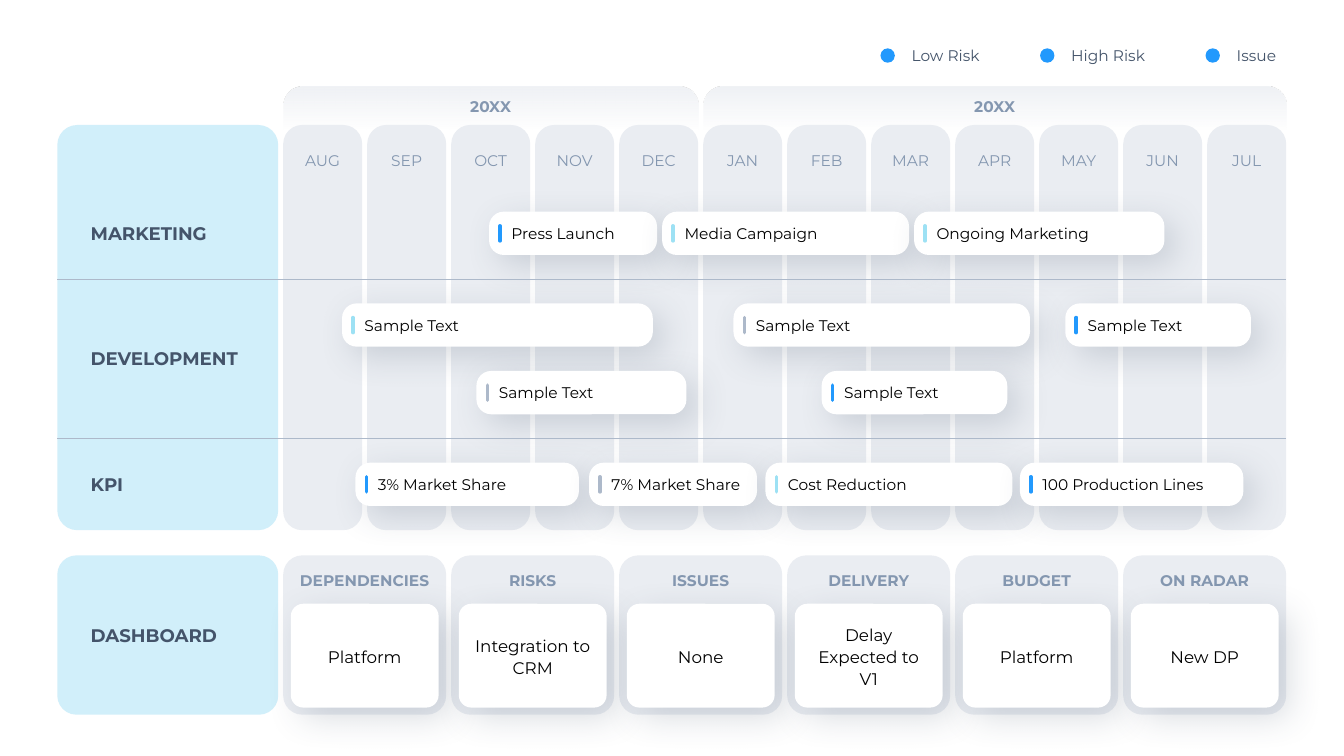
from dataclasses import dataclass

from lxml import etree
from pptx import Presentation
from pptx.dml.color import RGBColor
from pptx.enum.shapes import MSO_CONNECTOR, MSO_SHAPE
from pptx.enum.text import MSO_ANCHOR, MSO_AUTO_SIZE, PP_ALIGN
from pptx.oxml.ns import qn
from pptx.util import Inches, Pt

ROUNDED, OVAL = MSO_SHAPE.ROUNDED_RECTANGLE, MSO_SHAPE.OVAL
STRAIGHT = MSO_CONNECTOR.STRAIGHT
TOP, MIDDLE = MSO_ANCHOR.TOP, MSO_ANCHOR.MIDDLE
LEFT, CENTER = PP_ALIGN.LEFT, PP_ALIGN.CENTER
GROW = MSO_AUTO_SIZE.SHAPE_TO_FIT_TEXT


@dataclass(frozen=True)
class Theme:
    font: str = "Montserrat"
    blue: str = "2299FD"
    aqua: str = "9DE1F4"
    steel: str = "ADB9CA"
    panel: str = "D1EFFA"
    column: str = "EAEDF2"
    card: str = "FFFFFF"
    ink: str = "000000"
    slate: str = "44546A"
    heading: str = "8497B0"
    small: int = 11
    medium: int = 12
    large: int = 13


THEME = Theme()

# Grid: across in month columns, down in percent of the slide height
SLIDE_W, SLIDE_H = 13.333, 7.5
GRID_LEFT, GRID_RIGHT, GAP, MONTH_COUNT = 2.81, 12.76, 0.05, 12
COLUMN = (GRID_RIGHT - GRID_LEFT + GAP) / MONTH_COUNT
GUTTER = GAP / COLUMN
PANEL_LEFT, PANEL_WIDTH = -2.69, 2.63
LANE_LEFT = -2.41
PLAN_TOP, PLAN_HEIGHT = 16.53, 53.6
DASHBOARD_TOP, DASHBOARD_HEIGHT = 73.47, 21.07


@dataclass(frozen=True)
class Box:
    left: float
    top: float
    width: float
    height: float

    def emu(self) -> tuple[int, int, int, int]:
        return (x_at(self.left), y_at(self.top),
                Inches(self.width * COLUMN), y_at(self.height))


@dataclass(frozen=True)
class TextStyle:
    size: int
    color: str
    bold: bool = False
    align: PP_ALIGN = CENTER
    anchor: MSO_ANCHOR = TOP
    insets: tuple[float, float, float, float] = (0.1, 0.05, 0.1, 0.05)
    leading: int = 0
    after: int = 0


@dataclass(frozen=True)
class Task:
    name: str
    start: float
    span: float
    top: float
    color: str


@dataclass(frozen=True)
class Label:
    text: str
    left: float
    top: float
    width: float


@dataclass(frozen=True)
class Year:
    name: str
    start: int
    months: int


@dataclass(frozen=True)
class Topic:
    heading: str
    status: str


# Text styles
YEAR = TextStyle(THEME.small, THEME.heading, bold=True)
MONTH = TextStyle(THEME.small, THEME.heading, insets=(0.1, 0.2, 0.1, 0.05))
TOPIC = TextStyle(THEME.small, THEME.heading, bold=True, insets=(0.1, 0.1, 0.1, 0.1))
STATUS = TextStyle(THEME.medium, THEME.ink, anchor=MIDDLE, insets=(0.1, 0.1, 0.1, 0.1), leading=16)
TASK = TextStyle(THEME.small, THEME.ink, align=LEFT, anchor=MIDDLE, insets=(0.18, 0, 0.1, 0), after=3)
LANE = TextStyle(THEME.large, THEME.slate, bold=True, align=LEFT)
RISK = TextStyle(THEME.small, THEME.slate, align=LEFT, insets=(0, 0.05, 0.1, 0.05))

# Content
MONTHS = "AUG SEP OCT NOV DEC JAN FEB MAR APR MAY JUN JUL".split()
YEARS = [Year("20XX", 0, 5), Year("20XX", 5, 7)]
RISKS = [Label("Low Risk", 7.11, 5.47, 0.95), Label("High Risk", 9.01, 5.47, 1.01),
         Label("Issue", 10.98, 5.47, 0.6)]
LANES = [Label("MARKETING", LANE_LEFT, 28.8, 1.7), Label("DEVELOPMENT", LANE_LEFT, 45.33, 2.2),
         Label("KPI", LANE_LEFT, 62, 0.7), Label("DASHBOARD", LANE_LEFT, 81.87, 1.8)]
MARKETING_ROW, BUILD_ROW, TEST_ROW, KPI_ROW = 28, 40.13, 49.07, 61.2
LANE_BORDERS = [36.93, 58]
TASKS = [
    Task("Press Launch", 2.45, 2, MARKETING_ROW, THEME.blue),
    Task("Media Campaign", 4.51, 2.94, MARKETING_ROW, THEME.aqua),
    Task("Ongoing Marketing", 7.51, 2.98, MARKETING_ROW, THEME.aqua),
    Task("Sample Text", 0.7, 3.7, BUILD_ROW, THEME.aqua),
    Task("Sample Text", 5.36, 3.53, BUILD_ROW, THEME.steel),
    Task("Sample Text", 9.31, 2.21, BUILD_ROW, THEME.blue),
    Task("Sample Text", 2.3, 2.5, TEST_ROW, THEME.steel),
    Task("Sample Text", 6.41, 2.21, TEST_ROW, THEME.blue),
    Task("3% Market Share", 0.86, 2.66, KPI_ROW, THEME.blue),
    Task("7% Market Share", 3.64, 2, KPI_ROW, THEME.steel),
    Task("Cost Reduction", 5.74, 2.94, KPI_ROW, THEME.aqua),
    Task("100 Production Lines", 8.77, 2.66, KPI_ROW, THEME.blue),
]
TOPICS = [Topic("DEPENDENCIES", "Platform"), Topic("RISKS", "Integration to CRM"),
          Topic("ISSUES", "None"), Topic("DELIVERY", "Delay Expected to V1"),
          Topic("BUDGET", "Platform"), Topic("ON RADAR", "New DP")]


def x_at(columns: float) -> int:
    return Inches(GRID_LEFT + columns * COLUMN)


def y_at(percent: float) -> int:
    return Inches(percent / 100 * SLIDE_H)


def write(shape, text: str, style: TextStyle, wrap: bool = True) -> None:
    frame = shape.text_frame
    frame.word_wrap, frame.vertical_anchor = wrap, style.anchor
    (frame.margin_left, frame.margin_top,
     frame.margin_right, frame.margin_bottom) = map(Inches, style.insets)
    paragraph = frame.paragraphs[0]
    paragraph.text, paragraph.alignment = text, style.align
    if style.leading:
        paragraph.line_spacing = Pt(style.leading)
    if style.after:
        paragraph.space_after = Pt(style.after)
    font = paragraph.font
    font.name, font.size, font.bold = THEME.font, Pt(style.size), style.bold
    font.color.rgb = RGBColor.from_string(style.color)


def add_block(shapes, box: Box, color: str, radius: float):
    block = shapes.add_shape(ROUNDED, *box.emu())
    block.adjustments[0] = radius
    block.shadow.inherit = False
    block.fill.solid()
    block.fill.fore_color.rgb = RGBColor.from_string(color)
    block.line.fill.background()
    return block


def fade_down(block) -> None:
    block.fill.gradient()
    block.fill.gradient_angle = 270
    for stop, position in zip(block.fill.gradient_stops, (0, 0.55)):
        stop.position = position
        stop.color.rgb = RGBColor.from_string(THEME.column)
    colors = block.element.spPr.iter(qn("a:srgbClr"))
    for color, opacity in zip(colors, (75, 0)):
        etree.SubElement(color, qn("a:alpha"), val=str(opacity * 1000))


def add_card(shapes, box: Box, radius: float):
    card = add_block(shapes, box, THEME.card, radius)
    effects = card.element.spPr.find(qn("a:effectLst"))
    shadow = etree.SubElement(effects, qn("a:outerShdw"), blurRad=str(Pt(25)),
                              dist=str(Pt(10)), dir=str(45 * 60000), algn="tl", rotWithShape="0")
    color = etree.SubElement(shadow, qn("a:srgbClr"), val=THEME.slate)
    etree.SubElement(color, qn("a:alpha"), val="20000")
    return card


def add_line(shapes, start: tuple[float, float], end: tuple[float, float],
             color: str, width: float):
    rule = shapes.add_connector(STRAIGHT, x_at(start[0]), y_at(start[1]), x_at(end[0]), y_at(end[1]))
    rule.line.color.rgb = RGBColor.from_string(color)
    rule.line.width = Pt(width)
    etree.SubElement(rule.element.spPr, qn("a:effectLst"))
    return rule


def add_label(shapes, label: Label, style: TextStyle) -> None:
    caption = shapes.add_textbox(*Box(label.left, label.top, label.width, 4).emu())
    write(caption, label.text, style, wrap=False)
    caption.text_frame.auto_size = GROW


def add_task(shapes, task: Task) -> None:
    bar = add_card(shapes, Box(task.start, task.top, task.span, 5.73), 0.34)
    write(bar, task.name, TASK)
    tick_x = task.start + 0.13
    tick = add_line(shapes, (tick_x, task.top + 1.87), (tick_x, task.top + 3.87), task.color, 2.5)
    tick.element.spPr.find(qn("a:ln")).set("cap", "rnd")


def main() -> None:
    deck = Presentation()
    deck.slide_width, deck.slide_height = Inches(SLIDE_W), Inches(SLIDE_H)
    shapes = deck.slides.add_slide(deck.slide_layouts[6]).shapes

    # Risk legend
    for risk in RISKS:
        dot = shapes.add_shape(OVAL, x_at(risk.left), y_at(6.4), y_at(1.9), y_at(1.9))
        dot.shadow.inherit = False
        dot.fill.solid()
        dot.fill.fore_color.rgb = RGBColor.from_string(THEME.blue)
        dot.line.fill.background()
        add_label(shapes, Label(risk.text, risk.left + 0.37, risk.top, risk.width), RISK)

    # Years, months and side panels
    for year in YEARS:
        band = add_block(shapes, Box(year.start, 11.47, year.months - GUTTER, 10.4), THEME.column, 0.25)
        fade_down(band)
        write(band, year.name, YEAR)
    for index, month in enumerate(MONTHS):
        strip = add_block(shapes, Box(index, PLAN_TOP, 1 - GUTTER, PLAN_HEIGHT), THEME.column, 0.24)
        write(strip, month, MONTH)
    add_block(shapes, Box(PANEL_LEFT, PLAN_TOP, PANEL_WIDTH, PLAN_HEIGHT), THEME.panel, 0.09)
    add_block(shapes, Box(PANEL_LEFT, DASHBOARD_TOP, PANEL_WIDTH, DASHBOARD_HEIGHT), THEME.panel, 0.12)

    # Tasks and lane borders
    for task in TASKS:
        add_task(shapes, task)
    for border in LANE_BORDERS:
        add_line(shapes, (PANEL_LEFT, border), (MONTH_COUNT - GUTTER, border), THEME.steel, 0.5)

    # Dashboard: all headings lie behind all cards
    for index, topic in enumerate(TOPICS):
        tile = add_block(shapes, Box(2 * index, DASHBOARD_TOP, 2 - GUTTER, DASHBOARD_HEIGHT),
                         THEME.column, 0.12)
        write(tile, topic.heading, TOPIC)
    for index, topic in enumerate(TOPICS):
        card = add_card(shapes, Box(2 * index + 0.09, 79.87, 1.76, 13.73), 0.12)
        write(card, topic.status, STATUS)

    # Lane names
    for lane in LANES:
        add_label(shapes, lane, LANE)

    deck.save("out.pptx")


if __name__ == "__main__":
    main()
